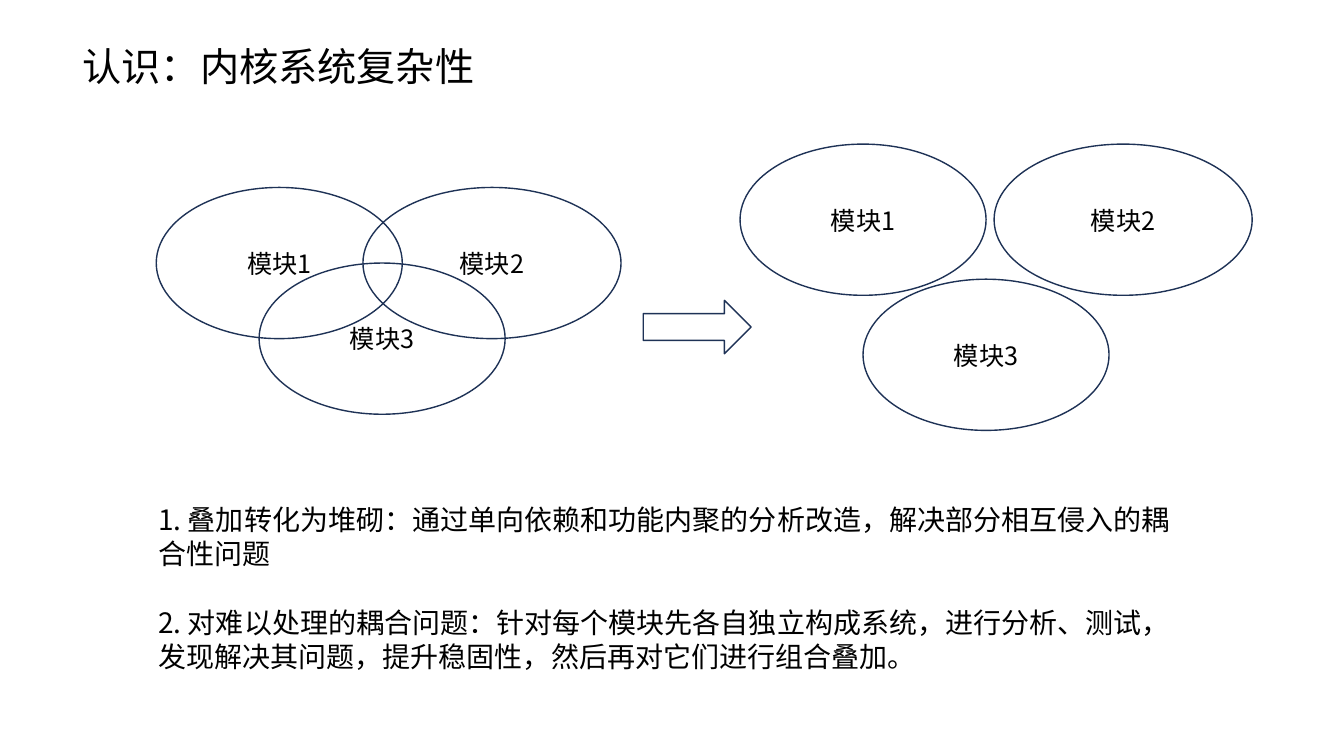
from pptx import Presentation
from pptx import util as u
from pptx.dml.color import RGBColor
from pptx.enum import shapes, text
from pptx.oxml import parse_xml
from pptx.oxml.ns import nsdecls

BLACK = RGBColor(0x00, 0x00, 0x00)
NAVY = RGBColor(0x1E, 0x32, 0x56)
FONT = "Noto Sans CJK SC"


def write(shape, lines, size, align=text.PP_ALIGN.LEFT, anchor=text.MSO_ANCHOR.TOP):
    frame = shape.text_frame
    frame.word_wrap = True
    frame.auto_size = text.MSO_AUTO_SIZE.NONE
    frame.vertical_anchor = anchor
    frame.text = "\n".join(lines)
    pitch = u.Pt(round(size * 1.22, 1))
    for i, para in enumerate(frame.paragraphs):
        para.alignment = align
        para.line_spacing = pitch
        para.space_before = pitch if i else u.Pt(0)
        props = para._p.get_or_add_pPr()
        props.set("marL", "0")
        props.set("indent", "0")
        props.append(parse_xml(f"<a:buNone {nsdecls('a')}/>"))
        font = para.runs[0].font
        font.size = u.Pt(size)
        font.name = FONT
        font.color.rgb = BLACK
        font._element.find("{*}latin").addnext(
            parse_xml(f'<a:ea {nsdecls("a")} typeface="{FONT}"/>'))


def draw(kind, *box):
    shape = slide.shapes.add_shape(kind, *map(u.Inches, box))
    shape.shadow.inherit = False
    shape.fill.background()
    shape.line.color.rgb = NAVY
    shape.line.width = u.Pt(1)
    return shape


deck = Presentation()
deck.slide_width = u.Inches(13.33)
deck.slide_height = u.Inches(7.5)
slide = deck.slides.add_slide(deck.slide_layouts[1])

title, body = slide.placeholders
for holder, box in ((title, (0.72, 0.36, 4.57, 0.57)), (body, (1.47, 4.93, 10.39, 1.78))):
    holder.left, holder.top, holder.width, holder.height = map(u.Inches, box)

write(title, ["认识：内核系统复杂性"], 28)
write(body, [
    "1. 叠加转化为堆砌：通过单向依赖和功能内聚的分析改造，解决部分相互侵入的耦合性问题",
    "2. 对难以处理的耦合问题：针对每个模块先各自独立构成系统，进行分析、测试，"
    "发现解决其问题，提升稳固性，然后再对它们进行组合叠加。",
], 20)

widths = (2.44, 2.56, 2.44)
mixed = ((1.55, 1.86), (3.6, 1.86), (2.57, 2.61))
apart = ((7.34, 1.43), (9.86, 1.43), (8.56, 2.77))
for group in (mixed, apart):
    for num, ((left, top), width) in enumerate(zip(group, widths), 1):
        oval = draw(shapes.MSO_SHAPE.OVAL, left, top, width, 1.5)
        write(oval, [f"模块{num}"], 18, align=text.PP_ALIGN.CENTER,
              anchor=text.MSO_ANCHOR.MIDDLE)

draw(shapes.MSO_SHAPE.RIGHT_ARROW, 6.38, 2.98, 1.07, 0.53)

deck.save("out.pptx")
